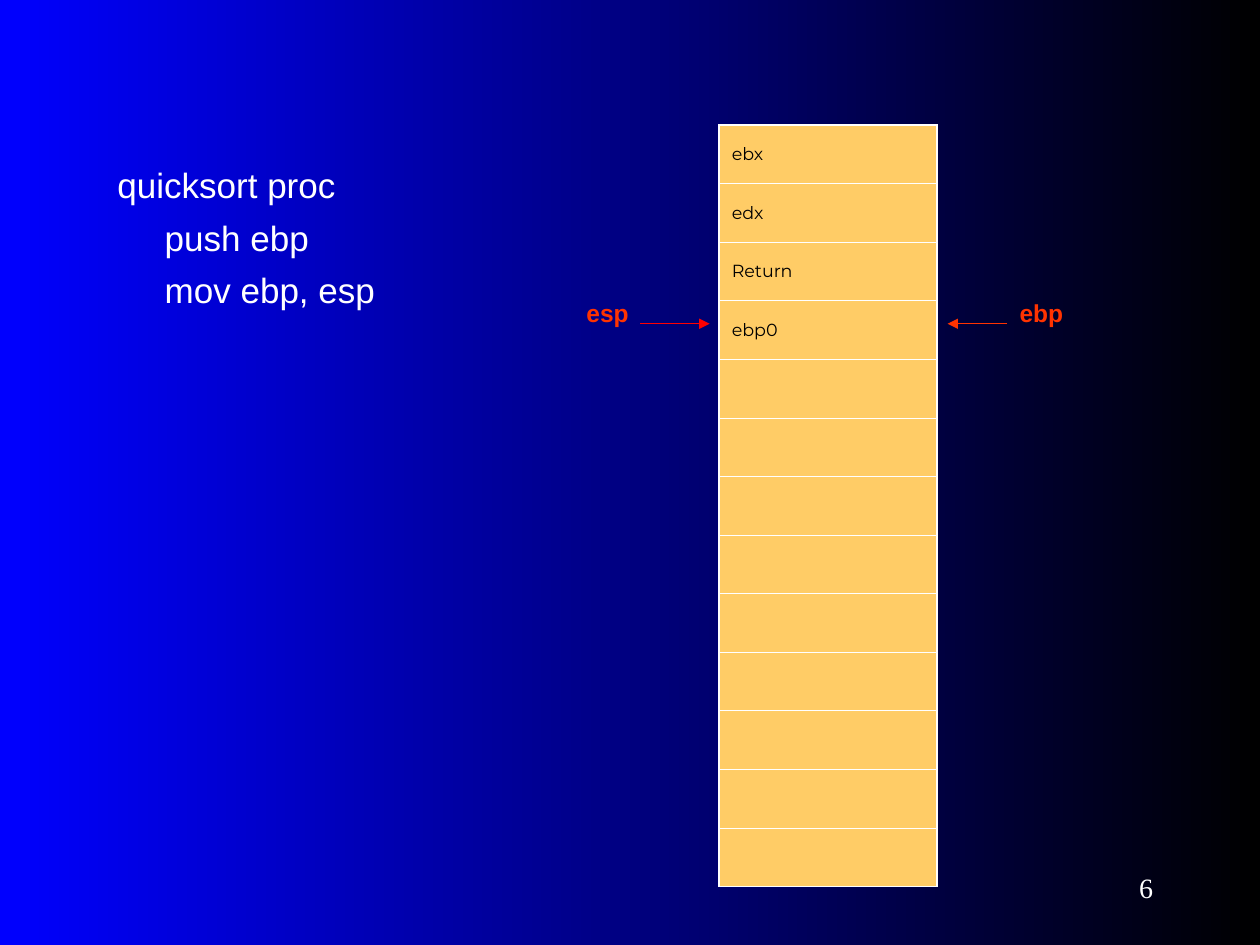
from lxml.etree import SubElement
from pptx import Presentation
from pptx.dml.color import RGBColor
from pptx.enum.shapes import MSO_CONNECTOR
from pptx.enum.text import MSO_ANCHOR, PP_ALIGN
from pptx.oxml.ns import qn
from pptx.util import Pt

WHITE = RGBColor(0xFF, 0xFF, 0xFF)
BLACK = RGBColor(0, 0, 0)
BLUE = RGBColor(0, 0, 0xFF)
RED = RGBColor(0xFF, 0, 0)
ORANGE_RED = RGBColor(0xFF, 0x33, 0)
CELL_FILL = RGBColor(0xFF, 0xCC, 0x66)

CODE_LINES = [("quicksort proc", 0), ("push ebp", 27), ("mov ebp, esp", 27)]
STACK = ["ebx", "edx", "Return", "ebp0"] + [""] * 9
ROW_HEIGHT = 33.5
POINTER_Y = 185
OUTER_BORDER, INNER_BORDER = 1.08, 0.45


def set_background(slide):
    fill = slide.background.fill
    fill.gradient()
    fill.gradient_angle = 0
    for stop, color in zip(fill.gradient_stops, (BLUE, BLACK)):
        stop.color.rgb = color


def format_font(paragraph, name, size, color, bold=False):
    font = paragraph.font
    font.name, font.size, font.bold = name, Pt(size), bold
    font.color.rgb = color


def add_text_box(slide, left, top, width, height, text):
    box = slide.shapes.add_textbox(Pt(left), Pt(top), Pt(width), Pt(height))
    box.text_frame.word_wrap = True
    box.text_frame.text = text
    return box.text_frame


def add_code(slide):
    text = "\n".join(line for line, indent in CODE_LINES)
    frame = add_text_box(slide, 60, 90, 294, 354, text)
    for index, (paragraph, (line, indent)) in enumerate(zip(frame.paragraphs, CODE_LINES)):
        paragraph._p.get_or_add_pPr().set("marL", str(Pt(indent)))
        if index:
            paragraph.space_before = Pt(6)
        format_font(paragraph, "Arial", 20, WHITE)


def set_borders(cell, top, bottom):
    properties = cell._tc.get_or_add_tcPr()
    widths = {"a:lnL": OUTER_BORDER, "a:lnR": OUTER_BORDER, "a:lnT": top, "a:lnB": bottom}
    for tag, width in widths.items():
        line = SubElement(properties, qn(tag), w=str(Pt(width)))
        fill = SubElement(line, qn("a:solidFill"))
        SubElement(fill, qn("a:srgbClr"), val=str(WHITE))


def add_stack(slide):
    frame = slide.shapes.add_table(len(STACK), 1, Pt(411), Pt(71.4),
                                   Pt(124.6), Pt(ROW_HEIGHT * len(STACK)))
    table = frame.table
    table.first_row = table.horz_banding = False
    last = len(STACK) - 1
    for index, text in enumerate(STACK):
        table.rows[index].height = Pt(ROW_HEIGHT)
        cell = table.cell(index, 0)
        set_borders(cell, OUTER_BORDER if index == 0 else INNER_BORDER,
                    OUTER_BORDER if index == last else INNER_BORDER)
        cell.fill.solid()
        cell.fill.fore_color.rgb = CELL_FILL
        cell.vertical_anchor = MSO_ANCHOR.MIDDLE
        cell.text_frame.text = text
        format_font(cell.text_frame.paragraphs[0], "Montserrat", 10, BLACK)


def add_pointer(slide, name, label_left, start, end, color):
    """Add a register label and its arrow to the stack."""
    arrow = slide.shapes.add_connector(MSO_CONNECTOR.STRAIGHT, Pt(start), Pt(POINTER_Y),
                                       Pt(end), Pt(POINTER_Y))
    arrow.line.color.rgb = color
    arrow.line.width = Pt(0.75)
    SubElement(arrow.line._get_or_add_ln(), qn("a:tailEnd"), type="triangle")
    SubElement(arrow._element.spPr, qn("a:effectLst"))

    frame = add_text_box(slide, label_left, 162, 49, 38, name)
    frame.margin_top = frame.margin_bottom = Pt(10.8)
    format_font(frame.paragraphs[0], "Arial", 14, ORANGE_RED, bold=True)


def add_page_number(slide, number):
    frame = add_text_box(slide, 588, 492, 78, 30, number)
    frame.vertical_anchor = MSO_ANCHOR.MIDDLE
    paragraph = frame.paragraphs[0]
    paragraph.alignment = PP_ALIGN.RIGHT
    format_font(paragraph, "Times New Roman", 16, WHITE)


def main():
    presentation = Presentation()
    presentation.slide_width, presentation.slide_height = Pt(720), Pt(540)
    slide = presentation.slides.add_slide(presentation.slide_layouts[6])
    set_background(slide)
    add_code(slide)
    add_stack(slide)
    add_pointer(slide, "esp", 328, 366, 405.5, RED)
    add_pointer(slide, "ebp", 575.5, 575.5, 541.5, ORANGE_RED)
    add_page_number(slide, "6")
    presentation.save("out.pptx")


if __name__ == "__main__":
    main()
